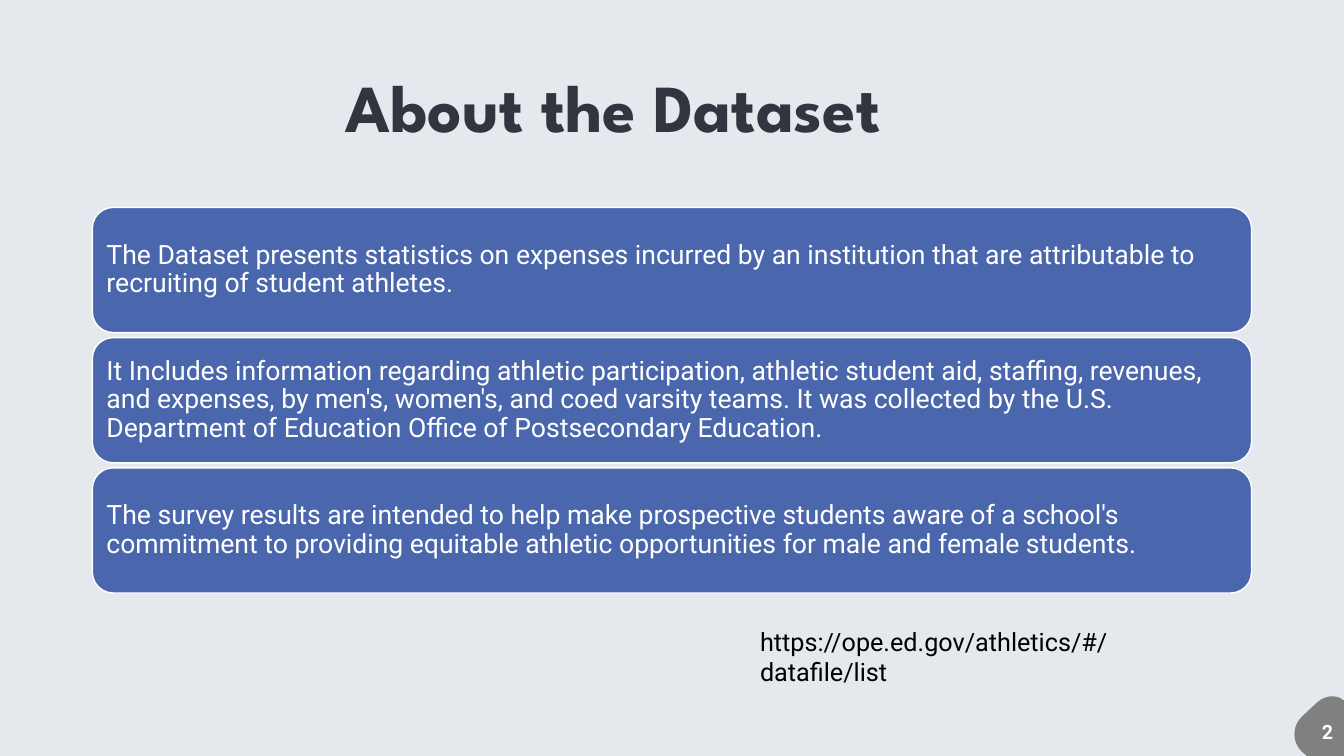
from dataclasses import dataclass

from pptx import Presentation
from pptx import util as u
from pptx.dml.color import RGBColor
from pptx.enum import shapes, text

COLUMNS, ROWS = 160, 90
CELL = u.Inches(1) // 12
BODY_FONT = "Roboto"
WHITE = "FFFFFF"
CARD_TOP, CARD_PITCH = 24.7, 15.5
CURVE_STEPS = 12


@dataclass
class Area:
    left: float
    top: float
    width: float
    height: float

    def lengths(self) -> list[u.Emu]:
        return [cells(n) for n in (self.left, self.top, self.width, self.height)]


@dataclass
class Style:
    size: float
    color: str
    font: str = BODY_FONT
    bold: bool = False


@dataclass
class Label:
    wording: str
    area: Area
    style: Style
    wrap: bool


CARDS = [
    "The Dataset presents statistics on expenses incurred by an institution that are "
    "attributable to recruiting of student athletes.",
    "It Includes information regarding athletic participation, athletic student aid, "
    "staffing, revenues, and expenses, by men's, women's, and coed varsity teams. It was "
    "collected by the U.S. Department of Education Office of Postsecondary Education.",
    "The survey results are intended to help make prospective students aware of a school's "
    "commitment to providing equitable athletic opportunities for male and female students.",
]
LABELS = [
    Label("2", Area(156.2, 85.1, 3.6, 4.1), Style(14, WHITE, bold=True), False),
    Label("https://ope.ed.gov/athletics/#/datafile/list",
          Area(89.3, 74, 55.1, 4.8), Style(18, "000000"), True),
]
BADGE_CURVES = [
    [(158.6, 82.9), (159, 82.9), (159.4, 83), (159.7, 83.2)],
    [(155, 89.5), (153.8, 88.3), (153.8, 86.5), (155, 85.3)],
    [(156.5, 83.9), (157.1, 83.3), (157.8, 82.9), (158.6, 82.9)],
]
BADGE_EDGE = [(160, 83.4), (160, 90), (155.6, 90)]


def cells(count: float) -> u.Emu:
    return u.Emu(round(count * CELL))


def color(value: str) -> RGBColor:
    return RGBColor.from_string(value)


def fill_solid(target, value: str) -> None:
    target.fill.solid()
    target.fill.fore_color.rgb = color(value)


def write(box, wording: str, style: Style):
    paragraph = box.text_frame.paragraphs[0]
    span = paragraph.add_run()
    span.text = wording
    font = paragraph.font
    font.name, font.size, font.bold = style.font, u.Pt(style.size), style.bold
    font.color.rgb = color(style.color)
    return paragraph


def set_margins(frame, across: u.Emu, down: u.Emu) -> None:
    frame.margin_left = frame.margin_right = across
    frame.margin_top = frame.margin_bottom = down


def add_title(page) -> None:
    title = page.shapes.title
    title.left, title.top, title.width, title.height = Area(35.3, 7.8, 77.5, 9.7).lengths()
    frame = title.text_frame
    set_margins(frame, 0, 0)
    frame.word_wrap = True
    frame.auto_size = text.MSO_AUTO_SIZE.NONE
    frame.vertical_anchor = text.MSO_ANCHOR.TOP
    style = Style(48, "30353F", "League Spartan", True)
    write(title, "About the Dataset ", style).alignment = text.PP_ALIGN.CENTER


def add_card(page, row: int, wording: str) -> None:
    area = Area(11, CARD_TOP + row * CARD_PITCH, 138, 14.9)
    card = page.shapes.add_shape(shapes.MSO_SHAPE.ROUNDED_RECTANGLE, *area.lengths())
    card.shadow.inherit = False
    fill_solid(card, "4A66AC")
    card.line.color.rgb = color(WHITE)
    card.line.width = u.Pt(1)
    frame = card.text_frame
    set_margins(frame, u.Inches(0.08), u.Inches(0.08))
    frame.word_wrap = True
    frame.vertical_anchor = text.MSO_ANCHOR.MIDDLE
    paragraph = write(card, wording, Style(19, WHITE))
    paragraph.alignment = text.PP_ALIGN.LEFT
    paragraph.line_spacing = 0.9


def trace(curve: list[tuple[float, float]]) -> list[tuple[float, float]]:
    points = []
    for step in range(CURVE_STEPS + 1):
        t = step / CURVE_STEPS
        weights = ((1 - t) ** 3, 3 * t * (1 - t) ** 2, 3 * t * t * (1 - t), t ** 3)
        points.append(tuple(sum(w * p[axis] for w, p in zip(weights, curve))
                            for axis in (0, 1)))
    return points


def add_badge(page) -> None:
    corner, side, shoulder = map(trace, BADGE_CURVES)
    outline = [(cells(x), cells(y)) for x, y in corner + BADGE_EDGE + side + shoulder]
    builder = page.shapes.build_freeform(*outline[0])
    builder.add_line_segments(outline[1:], close=True)
    badge = builder.convert_to_shape()
    badge.shadow.inherit = False
    fill_solid(badge, "808080")
    badge.line.fill.background()


def add_label(page, label: Label) -> None:
    box = page.shapes.add_textbox(*label.area.lengths())
    box.text_frame.word_wrap = label.wrap
    write(box, label.wording, label.style)


def main() -> None:
    deck = Presentation()
    deck.slide_width, deck.slide_height = cells(COLUMNS), cells(ROWS)
    page = deck.slides.add_slide(deck.slide_layouts.get_by_name("Title Only"))
    fill_solid(page.background, "E5E9EE")
    add_title(page)
    add_badge(page)
    for row, wording in enumerate(CARDS):
        add_card(page, row, wording)
    for label in LABELS:
        add_label(page, label)
    deck.save("out.pptx")


if __name__ == "__main__":
    main()
